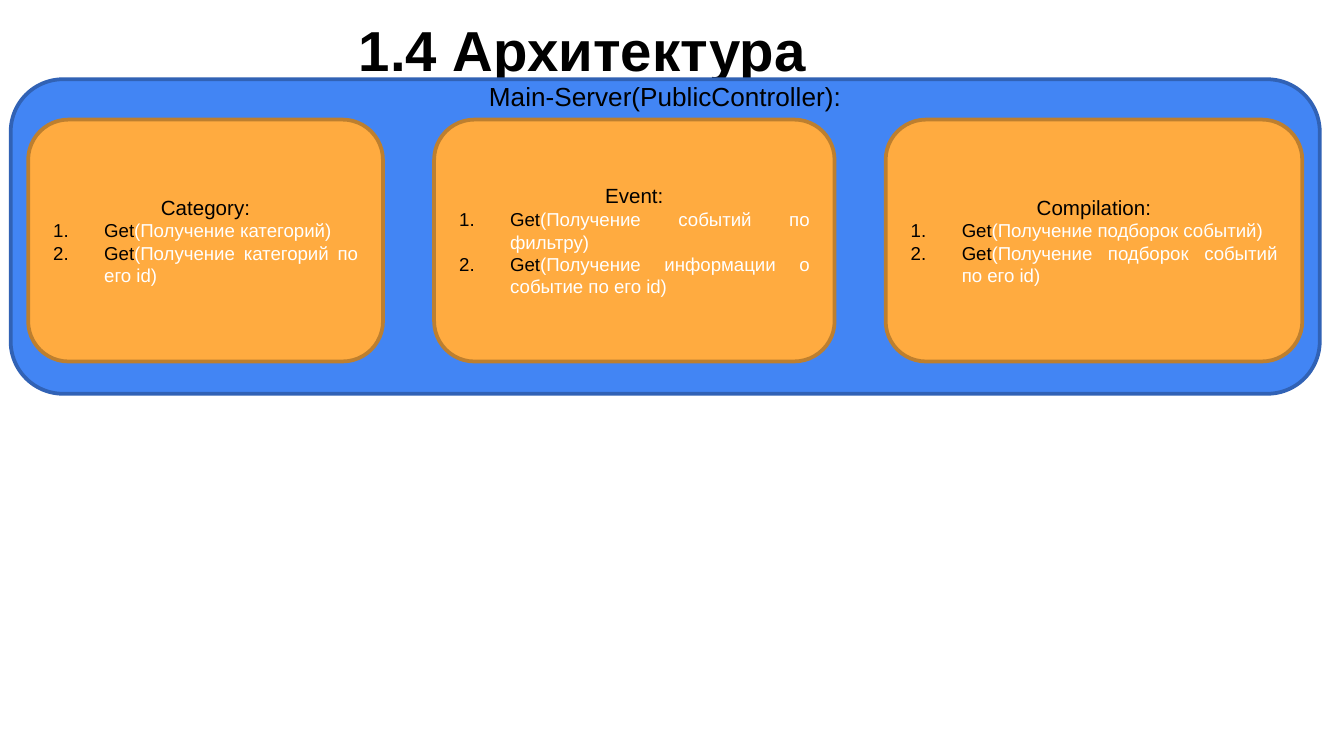
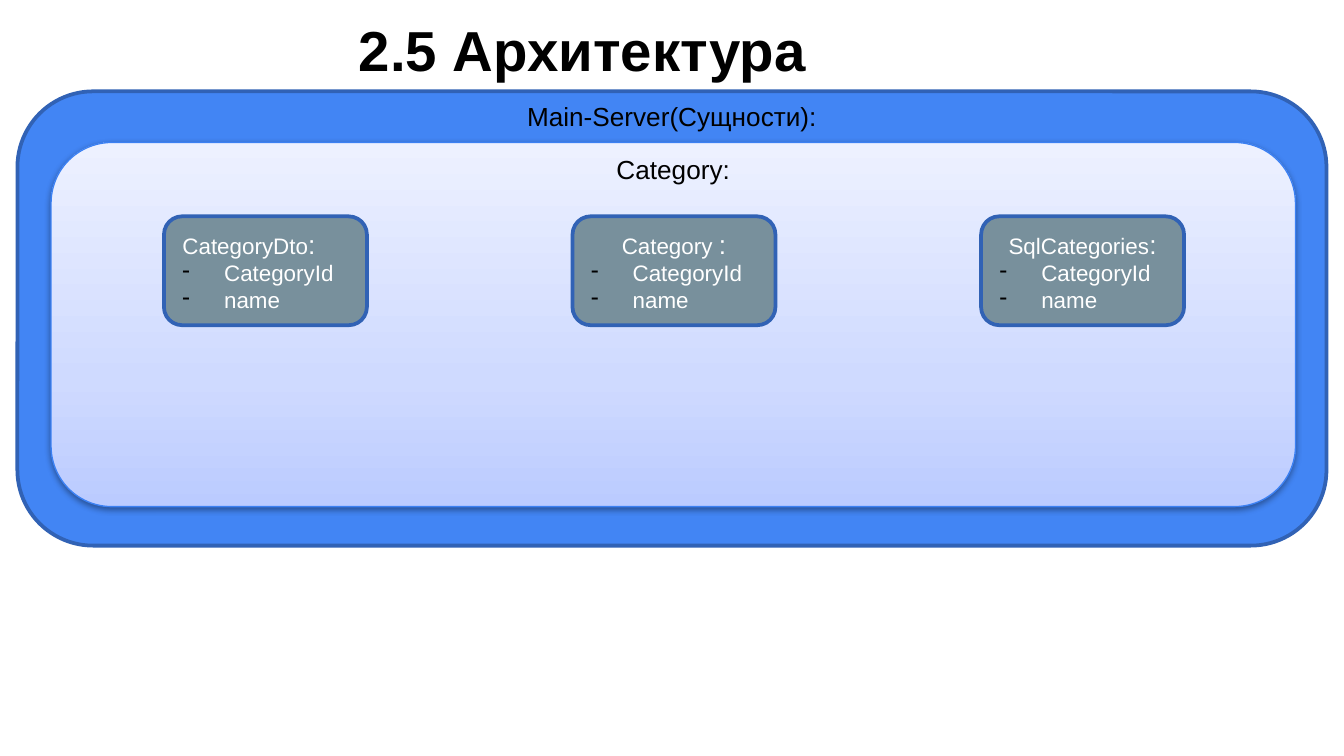
from dataclasses import dataclass
from lxml import etree
from pptx import Presentation
from pptx.dml.color import RGBColor as RGB
from pptx.enum.shapes import MSO_SHAPE as Shape
from pptx.enum.text import MSO_ANCHOR as Anchor, MSO_AUTO_SIZE as AutoSize, PP_ALIGN as Align
from pptx.oxml.ns import qn
from pptx.util import Inches, Pt


@dataclass(frozen=True)
class Theme:
    font: str = "Arial"
    black: str = "000000"
    white: str = "FFFFFF"
    blue: str = "4285F4"
    navy: str = "3162B5"
    orange: str = "FFAB40"
    brown: str = "BD7F2F"
    slate: str = "78909C"
    sky: str = "3C81F3"
    pale: tuple = ((0, "BBCBFF"), (35, "CFDAFF"), (100, "EDF1FF"))
    title: float = 30.2
    caption: float = 14
    heading: float = 11
    method: float = 10
    entity: float = 12
    border: float = 2
    hairline: float = 0.75


T = Theme()
WIDTH, HEIGHT = Inches(10), Inches(5.625)
COLUMNS = 100
INSET = Inches(0.1)
CORNER_SHARE = 0.1667 * 0.293

CONTROLLERS = [
    ("Category:", 26.4, ["(Получение категорий)", "(Получение категорий по его id)"]),
    ("Event:", 29.8, ["(Получение событий по фильтру)",
                      "(Получение информации о событие по его id)"]),
    ("Compilation:", 31, ["(Получение подборок событий)",
                          "(Получение подборок событий по его id)"]),
]
ENTITIES = [("CategoryDto", Align.JUSTIFY), ("Category ", Align.CENTER),
            ("SqlCategories", Align.CENTER)]
FIELDS = ["CategoryId", "name"]


def col(n):
    return round(WIDTH * n / COLUMNS)


def apply(target, values):
    for name, value in values.items():
        setattr(target, name, value)


def child(parent, tag, **attrs):
    return etree.SubElement(parent, qn(tag), {k: str(v) for k, v in attrs.items()})


def add_text(p, *runs):
    for text, size, color in runs:
        r = p.add_run()
        r.text = text
        apply(r.font, {"name": T.font, "size": Pt(size)})
        r.font.color.rgb = RGB.from_string(color)


def add_bullet(p, indent, tag, **attrs):
    pPr = p._p.get_or_add_pPr()
    apply(p, {"alignment": Align.JUSTIFY})
    pPr.set("marL", str(Inches(indent)))
    pPr.set("indent", str(-Inches(indent)))
    child(child(pPr, "a:buClr"), "a:srgbClr", val=T.black)
    child(pPr, tag, **attrs)


def add_box(s, bounds, fill, line, weight=T.border):
    sp = s.shapes.add_shape(Shape.ROUNDED_RECTANGLE, *map(col, bounds))
    sp.shadow.inherit = False
    sp.fill.solid()
    sp.fill.fore_color.rgb = RGB.from_string(fill)
    sp.line.color.rgb = RGB.from_string(line)
    sp.line.width = Pt(weight)
    apply(sp.text_frame, {"word_wrap": True, "vertical_anchor": Anchor.MIDDLE,
                          "margin_left": INSET, "margin_right": INSET,
                          "margin_top": INSET, "margin_bottom": INSET})
    return sp


def add_panel(s, bounds, caption, caption_drop, fill=T.blue, line=T.navy, weight=T.border):
    sp = add_box(s, bounds, fill, line, weight)
    height = bounds[3]
    corner = height * CORNER_SHARE
    caption_band = 2 * (caption_drop - corner)
    tf = sp.text_frame
    apply(tf, {"margin_top": 0, "margin_bottom": col(height - 2 * corner - caption_band)})
    p = tf.paragraphs[0]
    p.alignment = Align.CENTER
    add_text(p, (caption, T.caption, T.black))
    return sp


def shade(sp, stops):
    spPr = sp._element.spPr
    grad = etree.Element(qn("a:gradFill"), rotWithShape="1")
    gs_list = child(grad, "a:gsLst")
    for pos, color in stops:
        child(child(gs_list, "a:gs", pos=pos * 1000), "a:srgbClr", val=color)
    child(grad, "a:lin", ang=270 * 60000, scaled=0)
    spPr.replace(spPr.find(qn("a:solidFill")), grad)
    shadow = child(spPr.find(qn("a:effectLst")), "a:outerShdw", blurRad=Pt(3.1),
                   dist=Pt(1.6), dir=90 * 60000, rotWithShape=0)
    child(child(shadow, "a:srgbClr", val=T.black), "a:alpha", val=38000)


def add_controller(s, bounds, name, methods):
    tf = add_box(s, bounds, T.orange, T.brown).text_frame
    p = tf.paragraphs[0]
    p.alignment = Align.CENTER
    add_text(p, (name, T.heading, T.black))
    for purpose in methods:
        p = tf.add_paragraph()
        add_bullet(p, 0.38, "a:buAutoNum", type="arabicPeriod")
        add_text(p, ("Get", T.method, T.black), (purpose, T.method, T.white))


def add_entity(s, bounds, name, align):
    tf = add_box(s, bounds, T.slate, T.navy).text_frame
    p = tf.paragraphs[0]
    p.alignment = align
    add_text(p, (name, T.entity, T.white), (":", T.caption, T.white))
    for field in FIELDS:
        p = tf.add_paragraph()
        add_bullet(p, 0.31, "a:buChar", char="-")
        add_text(p, (field, T.entity, T.white))


def add_slide(prs, title):
    s = prs.slides.add_slide(prs.slide_layouts[5])
    sp = s.shapes.title
    apply(sp, {"left": col(25.7), "top": col(-0.4), "width": col(38.1), "height": col(6.3)})
    tf = sp.text_frame
    apply(tf, {"word_wrap": True, "auto_size": AutoSize.NONE, "vertical_anchor": Anchor.TOP,
               "margin_left": INSET, "margin_right": INSET,
               "margin_top": Inches(0.15), "margin_bottom": 0})
    p = tf.paragraphs[0]
    p.alignment = Align.LEFT
    add_text(p, (title, T.title, T.black))
    p.runs[0].font.bold = True
    return s


def build_controllers(prs):
    s = add_slide(prs, "1.4 Архитектура")
    add_panel(s, (0.8, 5.9, 97.4, 23.4), "Main-Server(PublicController):", 1.25)
    left, gap = 2.1, 3.8
    for name, width, methods in CONTROLLERS:
        add_controller(s, (left, 8.9, width, 18), name, methods)
        left += width + gap


def build_entities(prs):
    s = add_slide(prs, "2.5 Архитектура")
    add_panel(s, (1.3, 6.8, 97.4, 33.8), "Main-Server(Сущности):", 1.85)
    group = add_panel(s, (3.8, 10.6, 92.6, 27.1), "Category:", 2,
                      line=T.sky, weight=T.hairline)
    shade(group, T.pale)
    for i, (name, align) in enumerate(ENTITIES):
        add_entity(s, (12.2 + 30.4 * i, 16.1, 15.1, 8.1), name, align)


def main():
    prs = Presentation()
    apply(prs, {"slide_width": WIDTH, "slide_height": HEIGHT})
    build_controllers(prs)
    build_entities(prs)
    prs.save("out.pptx")


if __name__ == "__main__":
    main()
